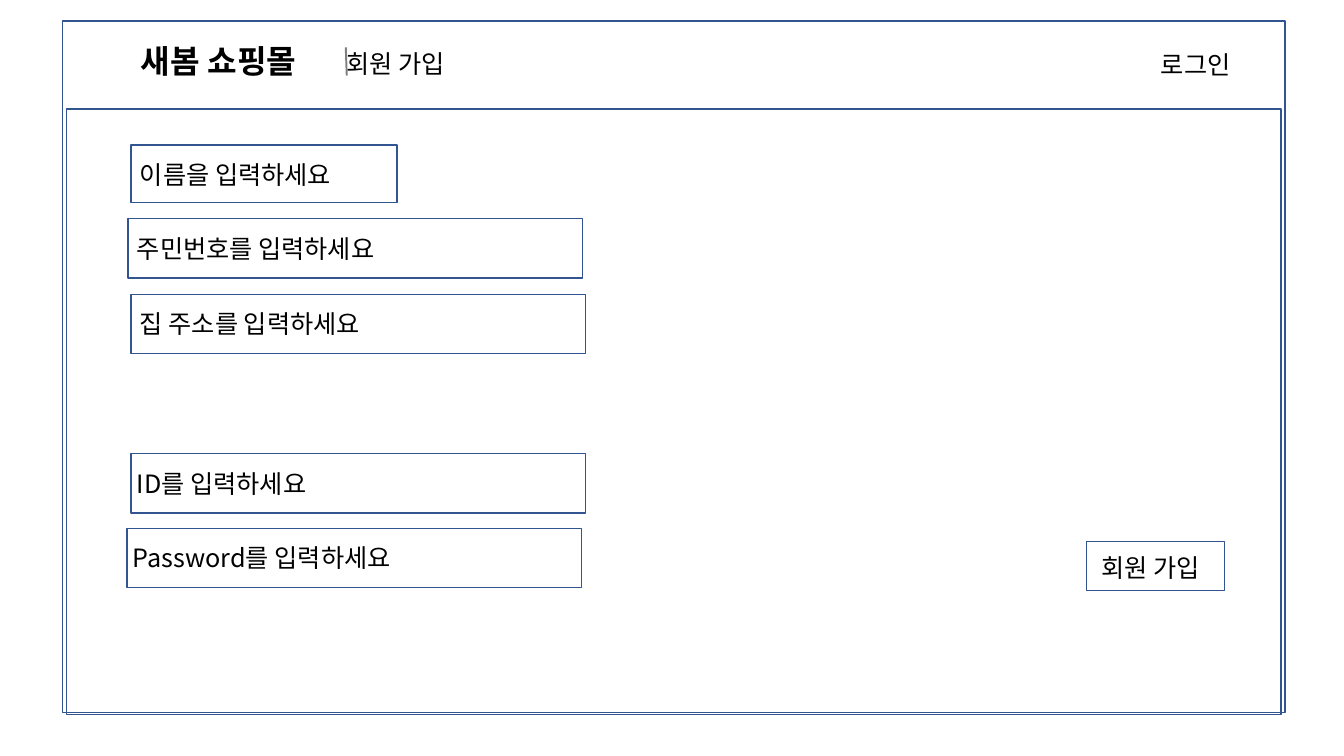
from lxml import etree
from pptx import Presentation
from pptx.dml.color import RGBColor
from pptx.enum.shapes import MSO_CONNECTOR, MSO_SHAPE
from pptx.enum.text import MSO_AUTO_SIZE
from pptx.oxml.ns import qn
from pptx.util import Pt

RECT = MSO_SHAPE.RECTANGLE
STRAIGHT = MSO_CONNECTOR.STRAIGHT
GROW = MSO_AUTO_SIZE.SHAPE_TO_FIT_TEXT

THEME = {
    "font": "Noto Sans CJK KR",
    "text": RGBColor(0x00, 0x00, 0x00),
    "border": RGBColor(0x32, 0x54, 0x91),
    "divider": RGBColor(0x80, 0x80, 0x80),
    "title_size": Pt(23),
    "body_size": Pt(18),
}
BODY = {"name": THEME["font"], "size": THEME["body_size"], "bold": False}
TITLE = {**BODY, "size": THEME["title_size"], "bold": True}

prs = Presentation()
prs.slide_width, prs.slide_height = Pt(960), Pt(540)
s = prs.slides.add_slide(prs.slide_layouts[6])


def add_box(x, y, w, h):
    sp = s.shapes.add_shape(RECT, Pt(x), Pt(y), Pt(w), Pt(h))
    sp.shadow.inherit = False
    sp.fill.background()
    sp.line.color.rgb = THEME["border"]
    sp.line.width = Pt(1)


def add_text(x, y, w, h, *runs):
    tf = s.shapes.add_textbox(Pt(x), Pt(y), Pt(w), Pt(h)).text_frame
    tf.word_wrap = True
    tf.auto_size = GROW
    p = tf.paragraphs[0]
    for text, style in runs:
        r = p.add_run()
        r.text = text
        for key, value in style.items():
            setattr(r.font, key, value)
        r.font.color.rgb = THEME["text"]
        ea = etree.SubElement(r.font._element, qn("a:ea"))
        ea.set("typeface", THEME["font"])
    return p


# Header: shop name, then the page name at a tab stop
p = add_text(93.6, 25.9, 318.2, 35.3, ("새봄 쇼핑몰", TITLE), ("\t회원 가입", BODY))
tabs = etree.SubElement(p._p.get_or_add_pPr(), qn("a:tabLst"))
etree.SubElement(tabs, qn("a:tab"), pos=str(Pt(147)), algn="l")

# Page frame and content area
add_box(44.6, 15.1, 873.4, 493.9)
add_box(47.5, 77.8, 867.6, 432.7)
add_text(822.2, 31.7, 92.9, 28.8, ("로그인", BODY))

# Input fields and button: box, text left, text width, text drop, label
fields = [
    ((93.6, 103.7, 190.1, 41), 92.9, 225.4, 6.8, "이름을 입력하세요"),
    ((91.4, 156.2, 324.7, 42.5), 90.7, 383.8, 6.8, "주민번호를 입력하세요"),
    ((93.6, 210.2, 324.7, 42.5), 92.9, 383.8, 6.8, "집 주소를 입력하세요"),
    ((93.6, 324, 324.7, 42.5), 90.7, 383.8, 6.8, "ID를 입력하세요"),
    ((90.7, 377.3, 324.7, 42.5), 87.8, 383.8, 6.8, "Password를 입력하세요"),
    ((776.2, 386.6, 98.6, 35.3), 779.8, 95, 4.3, "회원 가입"),
]
for box, text_x, text_w, drop, label in fields:
    add_box(*box)
    add_text(text_x, box[1] + drop, text_w, 28.8, (label, BODY))

# Divider before the page name
divider = s.shapes.add_connector(STRAIGHT, Pt(247), Pt(33.8), Pt(247.7), Pt(54))
divider.line.color.rgb = THEME["divider"]
divider.line.width = Pt(1.4)
etree.SubElement(divider._element.spPr, qn("a:effectLst"))

prs.save("out.pptx")
